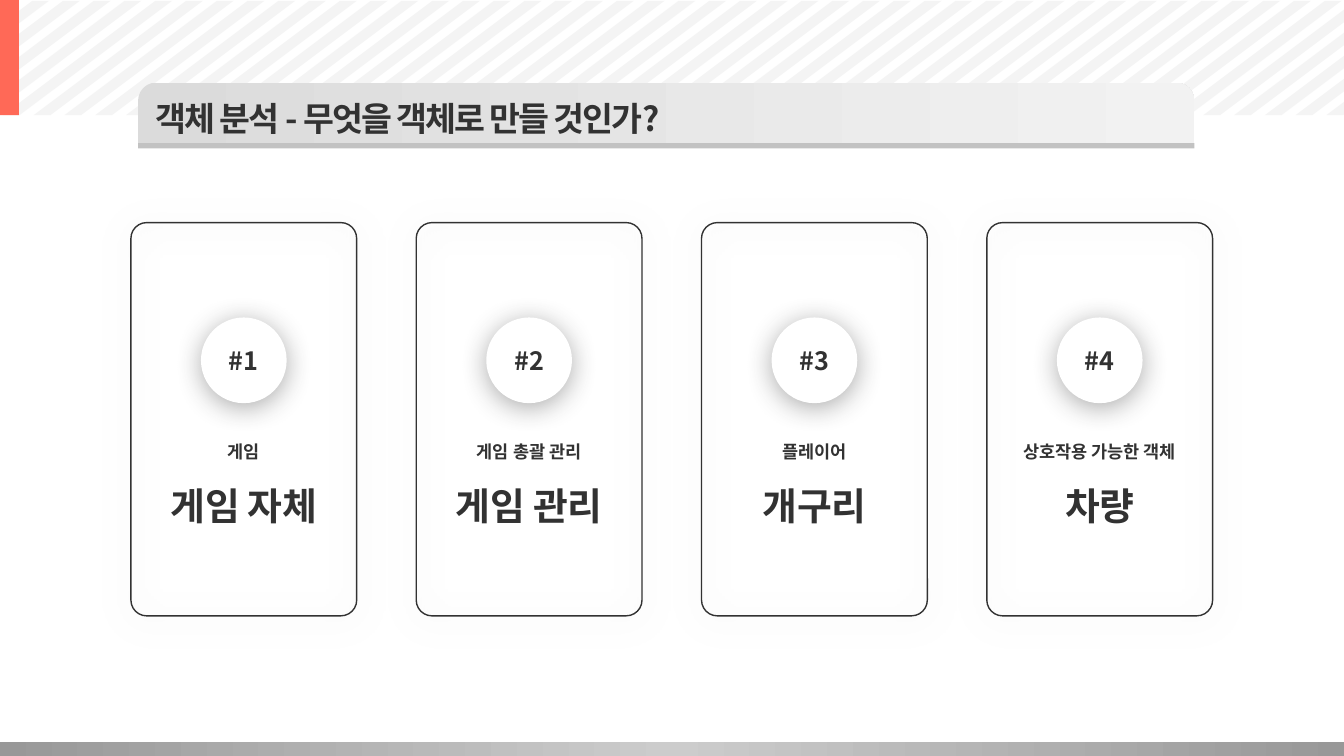
from lxml import etree
from pptx import Presentation
from pptx.dml.color import RGBColor
from pptx.enum.shapes import MSO_SHAPE
from pptx.enum.text import MSO_ANCHOR, MSO_AUTO_SIZE, PP_ALIGN
from pptx.oxml.ns import qn
from pptx.util import Cm, Pt

RECTANGLE = MSO_SHAPE.RECTANGLE
ROUNDED = MSO_SHAPE.ROUNDED_RECTANGLE
ROUNDED_TOP = MSO_SHAPE.ROUND_2_SAME_RECTANGLE
OVAL = MSO_SHAPE.OVAL
TOP, MIDDLE = MSO_ANCHOR.TOP, MSO_ANCHOR.MIDDLE
LEFT, CENTER = PP_ALIGN.LEFT, PP_ALIGN.CENTER
GROW = MSO_AUTO_SIZE.SHAPE_TO_FIT_TEXT

FONT = "Noto Sans CJK KR"
INK = RGBColor(0x32, 0x32, 0x32)
WHITE = RGBColor(0xFF, 0xFF, 0xFF)
CORAL = RGBColor(0xFF, 0x69, 0x57)
STRIPE = RGBColor(0xEB, 0xEB, 0xEB)
RULE = RGBColor(0xC2, 0xC2, 0xC2)
BANNER_START = RGBColor(0xDB, 0xDB, 0xDB)
BANNER_END = RGBColor(0xF2, 0xF2, 0xF2)
FOOTER_EDGE = RGBColor(0x98, 0x98, 0x98)
FOOTER_CENTRE = RGBColor(0xCC, 0xCC, 0xCC)
CARD_SHADOW = RGBColor(0xA6, 0xA6, 0xA6)

SLIDE_WIDTH, SLIDE_HEIGHT = 33.87, 19.05
STRIPE_COUNT, STRIPE_FIRST, STRIPE_LAST = 49, -3.8, 33.43
STRIPE_TOP, STRIPE_BOTTOM = 0.02, 2.9
STRIPE_WIDTH, STRIPE_LEAN = 0.42, 3.84
CARD_LEFT, CARD_PITCH, CARD_WIDTH = 3.3, 7.19, 5.69
CIRCLE_SIZE = 2.16

CARDS = [
    ("#1", "게임", "게임 자체"),
    ("#2", "게임 총괄 관리", "게임 관리"),
    ("#3", "플레이어", "개구리"),
    ("#4", "상호작용 가능한 객체", "차량"),
]


def add_shape(shapes, kind, box, color=None):
    """Add a borderless preset shape at a box in centimetres."""
    shape = shapes.add_shape(kind, *map(Cm, box))
    shape.shadow.inherit = False
    shape.line.fill.background()
    if color is None:
        shape.fill.background()
    else:
        shape.fill.solid()
        shape.fill.fore_color.rgb = color
    return shape


def set_gradient(shape, colors):
    """Fill a shape with evenly spaced colours from left to right."""
    shape.fill.gradient()
    shape.fill.gradient_angle = 0
    stops = shape.element.spPr.find(qn("a:gradFill")).find(qn("a:gsLst"))
    for stop in list(stops):
        stops.remove(stop)
    for index, color in enumerate(colors):
        position = 100000 * index // (len(colors) - 1)
        stop = etree.SubElement(stops, qn("a:gs"), pos=str(position))
        etree.SubElement(stop, qn("a:srgbClr"), val=str(color))


def set_shadow(shape, color, blur):
    """Give a shape a soft shadow falling straight down."""
    effects = shape.element.spPr.find(qn("a:effectLst"))
    shadow = etree.SubElement(
        effects, qn("a:outerShdw"), blurRad=str(Pt(blur)), dist=str(Pt(3)),
        dir="5400000", algn="t", rotWithShape="0")
    tint = etree.SubElement(shadow, qn("a:srgbClr"), val=str(color))
    etree.SubElement(tint, qn("a:alpha"), val="40000")


def write_text(shape, text, size, alignment=CENTER, anchor=TOP, spacing=0):
    """Write one bold run into a shape."""
    frame = shape.text_frame
    frame.vertical_anchor = anchor
    paragraph = frame.paragraphs[0]
    paragraph.alignment = alignment
    run = paragraph.add_run()
    run.text = text
    run.font.size = Pt(size)
    run.font.bold = True
    run.font.color.rgb = INK
    run.font.name = FONT
    properties = run.font._element
    etree.SubElement(properties, qn("a:ea"), typeface=FONT)
    if spacing:
        properties.set("spc", str(round(spacing * 100)))


def add_label(shapes, box, text, size, spacing=0):
    """Add a centred, wrapping text box."""
    label = shapes.add_textbox(*map(Cm, box))
    label.text_frame.word_wrap = True
    label.text_frame.auto_size = GROW
    write_text(label, text, size, spacing=spacing)


def clip(points, limit, side):
    """Keep the part of a polygon on one side of a vertical limit."""
    kept = []
    for (x1, y1), (x2, y2) in zip(points, points[1:] + points[:1]):
        inside, next_inside = (x1 - limit) * side >= 0, (x2 - limit) * side >= 0
        if inside:
            kept.append((x1, y1))
        if inside != next_inside:
            kept.append((limit, y1 + (y2 - y1) * (limit - x1) / (x2 - x1)))
    return kept


def add_stripes(slide):
    """Draw the slanted stripes along the top, cut at the slide edges."""
    shapes = slide.shapes.add_group_shape().shapes
    pitch = (STRIPE_LAST - STRIPE_FIRST) / (STRIPE_COUNT - 1)
    for index in range(STRIPE_COUNT):
        left = STRIPE_FIRST + index * pitch
        top_left = left + STRIPE_LEAN
        points = [(left, STRIPE_BOTTOM), (left + STRIPE_WIDTH, STRIPE_BOTTOM),
                  (top_left + STRIPE_WIDTH, STRIPE_TOP), (top_left, STRIPE_TOP)]
        points = clip(clip(points, 0, 1), SLIDE_WIDTH, -1)
        corners = [(Cm(x), Cm(y)) for x, y in points]
        builder = shapes.build_freeform(*corners[0])
        builder.add_line_segments(corners[1:])
        stripe = builder.convert_to_shape()
        stripe.shadow.inherit = False
        stripe.line.fill.background()
        stripe.fill.solid()
        stripe.fill.fore_color.rgb = STRIPE
        tint = stripe.element.spPr.find(qn("a:solidFill"))[0]
        etree.SubElement(tint, qn("a:alpha"), val="52000")


def add_title(slide, text):
    """Draw the banner and put the title on it."""
    banner = add_shape(slide.shapes, ROUNDED_TOP, (3.48, 2.08, 26.62, 1.53))
    banner.adjustments[0] = 0.3
    set_gradient(banner, [BANNER_START, BANNER_END])
    add_shape(slide.shapes, RECTANGLE, (3.48, 3.61, 26.62, 0.13), RULE)
    title = slide.shapes.title
    title.left, title.top, title.width, title.height = map(Cm, (3.66, 2.34, 14.38, 1.27))
    title.text_frame.word_wrap = False
    title.text_frame.auto_size = GROW
    write_text(title, text, 24, LEFT, spacing=-1.3)
    title.element.getparent().append(title.element)


def add_card(slide, left, number, caption, name):
    """Add one outlined card with its numbered circle and two labels."""
    shapes = slide.shapes.add_group_shape().shapes
    card = add_shape(shapes, ROUNDED, (left, 5.61, CARD_WIDTH, 9.91))
    card.adjustments[0] = 0.07
    card.line.color.rgb = INK
    card.line.width = Pt(1)
    set_shadow(card, CARD_SHADOW, 22.3)
    circle_left = left + (CARD_WIDTH - CIRCLE_SIZE) / 2
    circle = add_shape(shapes, OVAL, (circle_left, 8, CIRCLE_SIZE, CIRCLE_SIZE), WHITE)
    circle.text_frame.word_wrap = False
    set_shadow(circle, INK, 19.2)
    write_text(circle, number, 18, anchor=MIDDLE)
    add_label(shapes, (left, 11, CARD_WIDTH, 0.79), caption, 12.5)
    add_label(shapes, (left, 12.04, CARD_WIDTH, 1.4), name, 27, -0.2)


def main():
    """Build the slide and save it."""
    presentation = Presentation()
    presentation.slide_width = Cm(SLIDE_WIDTH)
    presentation.slide_height = Cm(SLIDE_HEIGHT)
    slide = presentation.slides.add_slide(presentation.slide_layouts[5])
    add_stripes(slide)
    footer = add_shape(slide.shapes, RECTANGLE, (0, 18.69, SLIDE_WIDTH, 0.36))
    set_gradient(footer, [FOOTER_EDGE, FOOTER_CENTRE, FOOTER_EDGE])
    add_shape(slide.shapes, RECTANGLE, (0, 0, 0.48, 2.9), CORAL)
    add_title(slide, "객체 분석 - 무엇을 객체로 만들 것인가?")
    for index, card in enumerate(CARDS):
        add_card(slide, CARD_LEFT + index * CARD_PITCH, *card)
    presentation.save("out.pptx")


if __name__ == "__main__":
    main()
